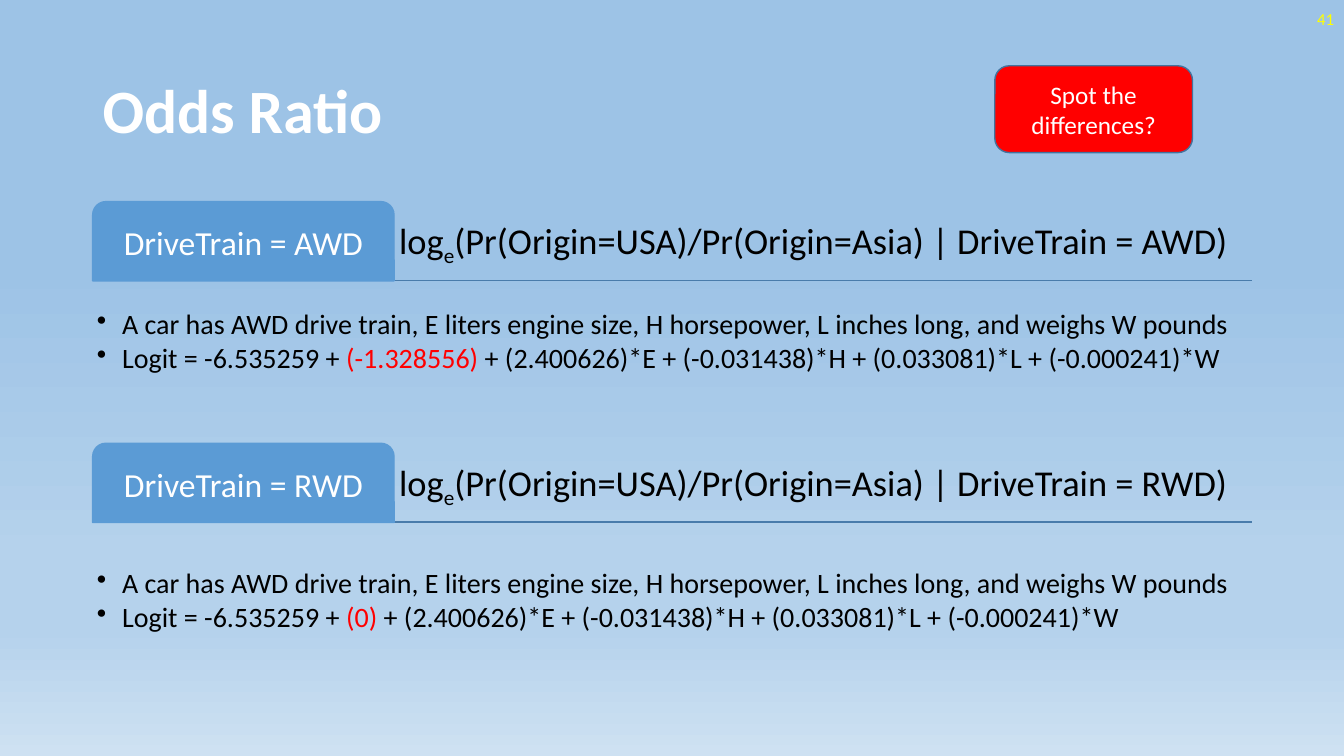
from dataclasses import dataclass

from lxml import etree
from pptx import Presentation
from pptx.dml.color import RGBColor
from pptx.enum.shapes import MSO_CONNECTOR, MSO_SHAPE
from pptx.enum.text import MSO_ANCHOR, PP_ALIGN
from pptx.oxml.ns import qn
from pptx.shapes.autoshape import Shape
from pptx.slide import Slide
from pptx.text.text import TextFrame, _Paragraph
from pptx.util import Pt

LEFT, CENTER, RIGHT = PP_ALIGN.LEFT, PP_ALIGN.CENTER, PP_ALIGN.RIGHT
MIDDLE = MSO_ANCHOR.MIDDLE
STRAIGHT = MSO_CONNECTOR.STRAIGHT
ROUND, TAB = MSO_SHAPE.ROUNDED_RECTANGLE, MSO_SHAPE.ROUND_2_SAME_RECTANGLE


@dataclass(frozen=True)
class Theme:
    font: str = "Calibri"
    white: str = "FFFFFF"
    black: str = "000000"
    red: str = "FF0000"
    yellow: str = "FFFF00"
    blue: str = "5B9BD5"
    rule: str = "497CAB"
    edge: str = "43739E"
    sky: tuple = ((35, "9DC3E6"), (74, "B5D2EC"), (83, "B5D2EC"), (100, "CEE1F2"))
    title: float = 44
    head: float = 26
    tag: float = 24
    body: float = 20
    note: float = 18
    page: float = 12


@dataclass(frozen=True)
class Box:
    x: float
    y: float
    w: float
    h: float


@dataclass(frozen=True)
class Case:
    train: str
    coef: str
    top: float
    lift: float  # extra bottom inset that raises the bullets


THEME = Theme()
EDGE, SPAN = 66.2, 828
TAG_W, TAG_H, BODY_H = 215.3, 56.6, 113
CASES = (Case("AWD", "(-1.328556)", 144, 25), Case("RWD", "(0)", 316.6, 0))


def paint(slide: Slide) -> None:
    """Give the background its vertical gradient of four stops."""
    fill = slide.background.fill
    fill.gradient()
    fill.gradient_angle = 270
    stops = slide.background._cSld.find(".//" + qn("a:gsLst"))
    for stop in list(stops):
        stops.remove(stop)
    for pos, tint in THEME.sky:
        stop = etree.SubElement(stops, qn("a:gs"), pos=str(pos * 1000))
        etree.SubElement(stop, qn("a:srgbClr"), val=tint)


def style(para: _Paragraph, size: float, color: str, align: PP_ALIGN = LEFT,
          bold: bool = False) -> None:
    para.alignment = align
    for run in para.runs:
        font = run.font
        font.name, font.size, font.bold = THEME.font, Pt(size), bold
        font.color.rgb = RGBColor.from_string(color)


def setup(frame: TextFrame, pad: float) -> None:
    frame.word_wrap = True
    frame.vertical_anchor = MIDDLE
    frame.margin_left = frame.margin_right = Pt(pad)
    frame.margin_top = frame.margin_bottom = Pt(min(pad, 3.6))


def add_text(slide: Slide, box: Box, pad: float = 7.2) -> TextFrame:
    shape = slide.shapes.add_textbox(Pt(box.x), Pt(box.y), Pt(box.w), Pt(box.h))
    setup(shape.text_frame, pad)
    return shape.text_frame


def add_label(slide: Slide, text: str, box: Box, size: float, color: str,
              align: PP_ALIGN = LEFT, bold: bool = False) -> None:
    para = add_text(slide, box).paragraphs[0]
    para.text = text
    para.line_spacing = 0.9
    style(para, size, color, align, bold)


def add_block(slide: Slide, kind: MSO_SHAPE, text: str, box: Box, fill: str,
              line: str, size: float) -> Shape:
    shape = slide.shapes.add_shape(kind, Pt(box.x), Pt(box.y), Pt(box.w), Pt(box.h))
    shape.shadow.inherit = False
    shape.fill.solid()
    shape.fill.fore_color.rgb = RGBColor.from_string(fill)
    shape.line.color.rgb = RGBColor.from_string(line)
    shape.line.width = Pt(1)
    setup(shape.text_frame, 7.2)
    shape.text_frame.text = text
    style(shape.text_frame.paragraphs[0], size, THEME.white, CENTER)
    return shape


def add_rule(slide: Slide, y: float) -> None:
    rule = slide.shapes.add_connector(
        STRAIGHT, Pt(EDGE), Pt(y), Pt(EDGE + SPAN), Pt(y))
    rule.line.color.rgb = RGBColor.from_string(THEME.rule)
    rule.line.width = Pt(1)
    etree.SubElement(rule._element.spPr, qn("a:effectLst"))


def add_head(slide: Slide, case: Case) -> None:
    box = Box(EDGE + TAG_W, case.top, SPAN - TAG_W, TAG_H)
    para = add_text(slide, box, 3.6).paragraphs[0]
    para.line_spacing = 0.9
    odds = f"(Pr(Origin=USA)/Pr(Origin=Asia) | DriveTrain = {case.train})"
    for part in ("log", "e", odds):
        para.add_run().text = part
    style(para, THEME.head, THEME.black)
    para.runs[1].font._element.set("baseline", "-25000")


def add_bullets(slide: Slide, case: Case) -> None:
    frame = add_text(slide, Box(EDGE, case.top + TAG_H, SPAN, BODY_H), 3)
    frame.margin_bottom = Pt(3 + case.lift)
    lines = (
        ("A car has AWD drive train, E liters engine size, H horsepower, "
         "L inches long, and weighs W pounds",),
        ("Logit = -6.535259 + ", case.coef,
         " + (2.400626)*E + (-0.031438)*H + (0.033081)*L + (-0.000241)*W"),
    )
    for i, parts in enumerate(lines):
        para = frame.add_paragraph() if i else frame.paragraphs[0]
        props = para._p.get_or_add_pPr()
        props.set("marL", str(Pt(18)))
        props.set("indent", str(-Pt(18)))
        etree.SubElement(props, qn("a:buChar"), char="•")
        para.line_spacing = 0.9
        para.space_after = Pt(2.4)
        for part in parts:
            para.add_run().text = part
        style(para, THEME.body, THEME.black)
        for run in para.runs[1:2]:
            run.font.color.rgb = RGBColor.from_string(THEME.red)


def add_case(slide: Slide, case: Case) -> None:
    add_rule(slide, case.top + TAG_H - 0.4)
    add_head(slide, case)
    tag = add_block(slide, TAB, f"DriveTrain = {case.train}",
                    Box(EDGE, case.top, TAG_W, TAG_H),
                    THEME.blue, THEME.blue, THEME.tag)
    tag.adjustments[0], tag.adjustments[1] = 0.167, 0
    tag.text_frame.margin_top = Pt(6)
    tag.text_frame.paragraphs[0].line_spacing = 0.9
    add_bullets(slide, case)


def main() -> None:
    deck = Presentation()
    deck.slide_width, deck.slide_height = Pt(960), Pt(540)
    slide = deck.slides.add_slide(deck.slide_layouts[6])
    paint(slide)
    add_label(slide, "Odds Ratio", Box(EDGE, 28.8, SPAN, 104.4),
              THEME.title, THEME.white, bold=True)
    add_label(slide, "41", Box(744, 0, 216, 28.8), THEME.page, THEME.yellow, RIGHT)
    for case in CASES:
        add_case(slide, case)
    add_block(slide, ROUND, "Spot the differences?", Box(710.6, 47, 141.2, 62),
              THEME.red, THEME.edge, THEME.note)
    deck.save("out.pptx")


if __name__ == "__main__":
    main()
